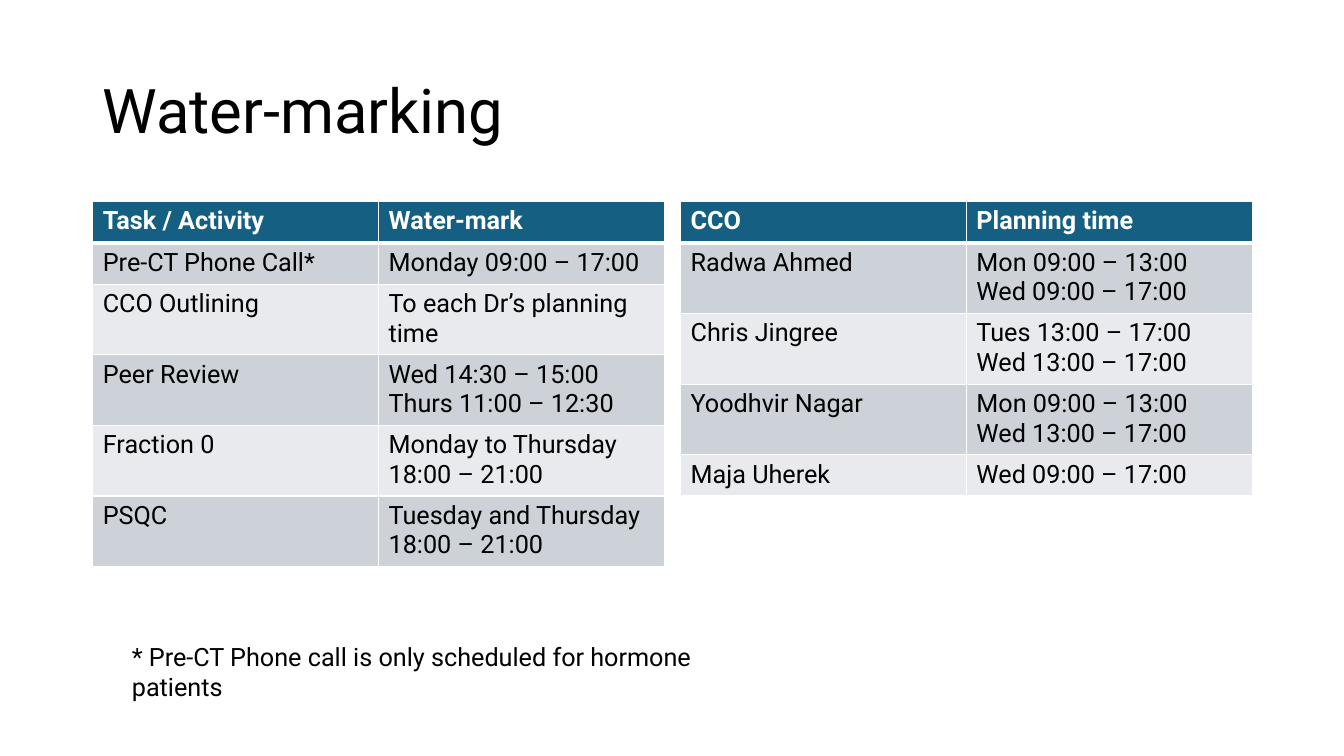
from lxml.etree import SubElement
from pptx import Presentation
from pptx.dml.color import RGBColor
from pptx.enum.text import MSO_ANCHOR as Anchor
from pptx.oxml.ns import qn
from pptx.util import Inches, Pt

TASK_ROWS = [
    ("Task / Activity", "Water-mark"),
    ("Pre-CT Phone Call*", "Monday 09:00 – 17:00"),
    ("CCO Outlining", "To each Dr’s planning time"),
    ("Peer Review", "Wed 14:30 – 15:00\vThurs 11:00 – 12:30"),
    ("Fraction 0", "Monday to Thursday 18:00 – 21:00"),
    ("PSQC", "Tuesday and Thursday 18:00 – 21:00"),
]
PLANNING_ROWS = [
    ("CCO", "Planning time"),
    ("Radwa Ahmed", "Mon 09:00 – 13:00\nWed 09:00 – 17:00"),
    ("Chris Jingree", "Tues 13:00 – 17:00\nWed 13:00 – 17:00"),
    ("Yoodhvir Nagar", "Mon 09:00 – 13:00\nWed 13:00 – 17:00"),
    ("Maja Uherek", "Wed 09:00 – 17:00"),
]


def color(value):
    return RGBColor.from_string(value)


def write(text_frame, text, size=18, ink="000000", bold=False, spacing=None):
    text_frame.text = text
    for paragraph in text_frame.paragraphs:
        paragraph.line_spacing = spacing
        for run in paragraph.runs:
            run.font.name = "Roboto"
            run.font.size = Pt(size)
            run.font.bold = bold
            run.font.color.rgb = color(ink)


class SlideBuilder:
    white = "FFFFFF"
    header = "156082"
    bands = ("E8EAED", "CCD2D8")
    row_height = 0.41

    def __init__(self, slide):
        self.slide = slide

    def text(self, left, top, width, height, text, anchor=Anchor.TOP, **style):
        box = self.slide.shapes.add_textbox(
            Inches(left), Inches(top), Inches(width), Inches(height))
        box.text_frame.word_wrap = True
        box.text_frame.vertical_anchor = anchor
        write(box.text_frame, text, **style)

    def border(self, cell, side, width):
        properties = cell._tc.get_or_add_tcPr()
        line = SubElement(properties, qn(f"a:ln{side}"), w=str(Pt(width)))
        fill = SubElement(line, qn("a:solidFill"))
        SubElement(fill, qn("a:srgbClr"), val=self.white)

    def table(self, left, top, width, rows):
        frame = self.slide.shapes.add_table(
            len(rows), len(rows[0]), Inches(left), Inches(top),
            Inches(width), Inches(self.row_height * len(rows)))
        for row, texts in enumerate(rows):
            is_header = row == 0
            widths = {"L": 1, "R": 1, "T": 3 if row == 1 else 1, "B": 3 if is_header else 1}
            for column, text in enumerate(texts):
                cell = frame.table.cell(row, column)
                for side, line_width in widths.items():
                    self.border(cell, side, line_width)
                cell.fill.solid()
                cell.fill.fore_color.rgb = color(self.header if is_header else self.bands[row % 2])
                write(cell.text_frame, text, bold=is_header,
                      ink=self.white if is_header else "000000")


def main():
    presentation = Presentation()
    presentation.slide_width = Inches(13.33)
    presentation.slide_height = Inches(7.5)
    builder = SlideBuilder(presentation.slides.add_slide(presentation.slide_layouts[6]))
    builder.text(0.92, 0.4, 11.5, 1.45, "Water-marking", anchor=Anchor.MIDDLE, size=44, spacing=0.9)
    builder.table(0.92, 2, 5.67, TASK_ROWS)
    builder.table(6.75, 2, 5.67, PLANNING_ROWS)
    builder.text(1.21, 6.31, 6.56, 0.4, "* Pre-CT Phone call is only scheduled for hormone patients")
    presentation.save("out.pptx")


if __name__ == "__main__":
    main()
